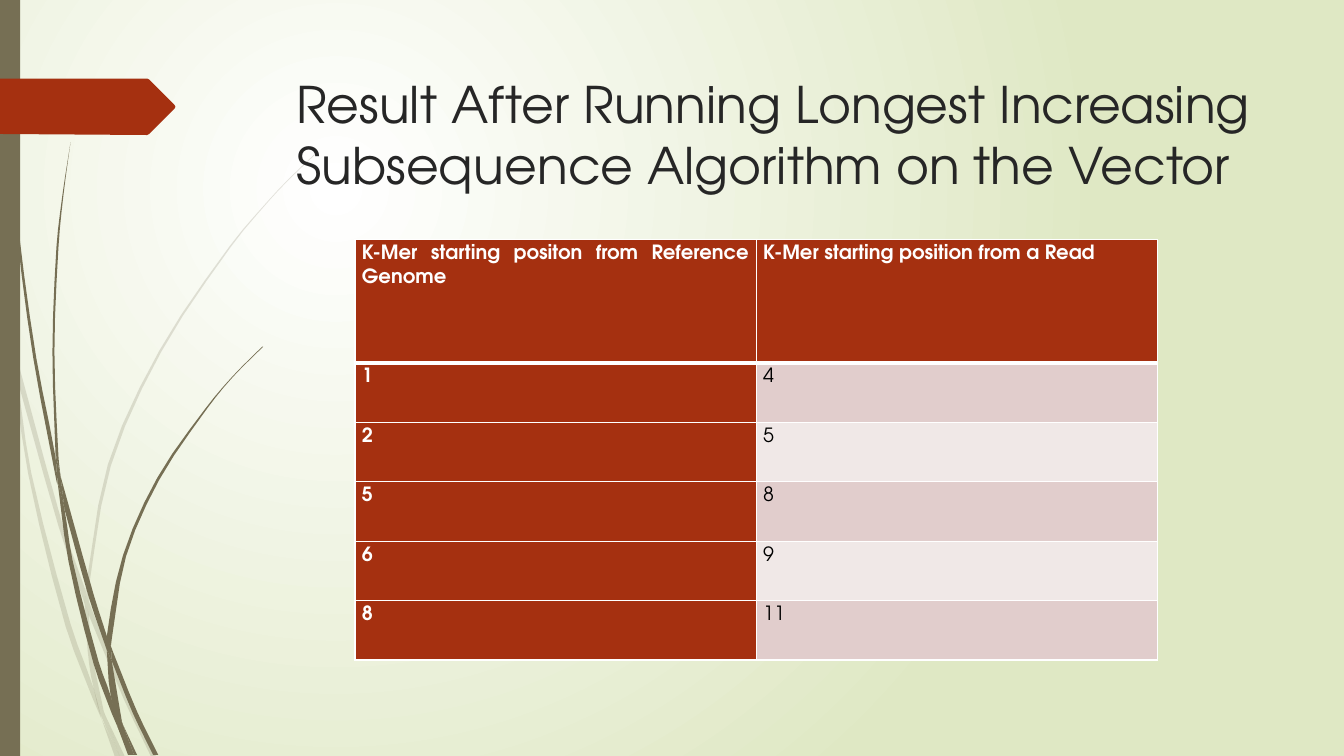
"""Builds a slide with a results table beside a decoration of grass blades."""
from math import dist
from lxml import etree
from pptx import Presentation
from pptx.dml.color import RGBColor
from pptx.enum import shapes, text
from pptx.oxml import parse_xml
from pptx.oxml.ns import nsdecls, qn
from pptx.util import Inches, Pt

FONT = "TeX Gyre Adventor"
COLORS = {
    "olive": "766F54", "rust": "A53010", "ink": "262626", "black": "000000",
    "white": "FFFFFF", "lime": "DFE8C4", "rose": "E1CDCC", "blush": "F0E8E7",
}
PALE_BLADES = [
    [[(0.11, 3.5), (0.09, 3.22), (0, 2.82)], [(0, 2.99), (0.1, 3.44)]],
    [[(0.14, 3.45), (0.62, 5.2), (0.85, 5.86)], [(0.84, 5.99), (0.58, 5.22), (0.17, 3.76)]],
    [[(0.88, 5.96), (0.92, 6.07), (1.27, 6.92), (1.55, 7.51)],
     [(1.5, 7.51), (1.23, 6.94), (0.88, 6.1)]],
    [[(1.19, 7.51), (1.24, 7.51)], [(1.05, 7.11)]],
    [[(0.11, 3.5), (0.17, 3.76), (0.31, 4.69), (0.7, 6.19), (0.93, 6.83), (1.01, 7.14)],
     [(0.92, 6.93), (0.65, 6.21), (0.28, 4.7), (0.11, 3.5)]],
    [[(0.84, 5.99), (0.87, 6.46), (0.93, 6.83), (1.05, 7.11)],
     [(1.03, 7.06), (0.91, 6.46), (0.88, 6.08)]],
    [[(0.88, 5.96), (0.88, 5.84), (1.1, 4.62), (1.6, 3.49), (2.29, 2.45), (2.68, 1.98),
      (2.9, 1.75), (3.12, 1.54)],
     [(3.12, 1.53), (2.89, 1.75), (2.68, 1.97), (2.28, 2.44), (1.58, 3.48), (1.07, 4.61),
      (0.85, 5.84)]],
    [[(1.01, 7.14), (1.14, 7.51)], [(1.19, 7.51)]],
    [[(0.88, 6.08), (0.88, 5.96)], [(0.85, 5.86), (0.84, 5.99)]],
    [[(0.93, 6.83), (0.99, 7.07), (1.19, 7.51)], [(1.05, 7.11), (0.96, 6.92)]],
]
DARK_BLADES = [
    [[(0.04, 0), (0.05, 0.48), (0.08, 1.09), (0.19, 2.32), (0.36, 3.55), (0.55, 4.53),
      (0.57, 4.81)],
     [(0.56, 4.77), (0.33, 3.55), (0.17, 2.33), (0.07, 1.1), (0.04, 0.48), (0.03, 0)]],
    [[(0.6, 4.72), (0.93, 5.9), (1.06, 6.31)], [(1.06, 6.45), (0.88, 5.92), (0.64, 5.05)]],
    [[(1.1, 6.41), (1.13, 6.49), (1.36, 7.06), (1.57, 7.49)],
     [(1.52, 7.49), (1.32, 7.08), (1.11, 6.56)]],
    [[(0.57, 4.77), (0.64, 5.05), (0.72, 5.56), (0.98, 6.57), (1.1, 6.91), (1.17, 7.22)],
     [(1.11, 7.08), (0.93, 6.59), (0.68, 5.57), (0.57, 4.77)]],
    [[(0.6, 4.72), (0.58, 4.53), (0.54, 3.49), (0.58, 2.45), (0.63, 1.93), (0.7, 1.41)],
     [(0.7, 1.41), (0.62, 1.93), (0.56, 2.45), (0.52, 3.49), (0.55, 4.49)]],
    [[(1.33, 7.49), (1.36, 7.49)], [(1.22, 7.19)]],
    [[(0.57, 4.77), (0.64, 5.05)], [(0.6, 4.72), (0.55, 4.49)]],
    [[(1.11, 6.33), (1.25, 5.52), (1.58, 4.76), (2.05, 4.06), (2.31, 3.74), (2.61, 3.44)],
     [(2.6, 3.44), (2.31, 3.73), (2.04, 4.05), (1.56, 4.74), (1.22, 5.51), (1.06, 6.31),
      (1.1, 6.41)]],
    [[(1.17, 7.22), (1.27, 7.49)], [(1.31, 7.49)]],
    [[(1.06, 6.45), (1.1, 6.91), (1.22, 7.19)], [(1.21, 7.16), (1.11, 6.56)]],
    [[(1.06, 6.31), (1.06, 6.45)], [(1.11, 6.56), (1.1, 6.41)]],
    [[(1.1, 6.91), (1.17, 7.22), (1.3, 7.49)], [(1.33, 7.49), (1.22, 7.19)]],
]
ARROW = [[(0, 0.78), (1.46, 0.78)], [(1.48, 0.79), (1.73, 1.04)], [(1.74, 1.06), (1.73, 1.08)],
         [(1.48, 1.33), (1.46, 1.34)], [(0, 1.33)]]
ROWS = [
    ("K-Mer starting positon from Reference Genome", "K-Mer starting position from a Read"),
    ("1", "4"), ("2", "5"), ("5", "8"), ("6", "9"), ("8", "11"),
]


def smooth(points):
    """Return points along a smooth curve through the given ones."""
    result = [points[0]]
    last = len(points) - 1
    steps = 3 if last > 1 else 1
    for i in range(last):
        start, end = points[i], points[i + 1]
        before, after = points[max(i - 1, 0)], points[min(i + 2, last)]
        reach = dist(start, end) / 3
        pull = reach / dist(before, end)
        push = reach / dist(start, after)
        for t in (step / steps for step in range(1, steps + 1)):
            result.append(tuple(
                (1 - t) ** 3 * a + 3 * t * (1 - t) ** 2 * (a + (b - p) * pull)
                + 3 * t * t * (1 - t) * (b - (n - a) * push) + t ** 3 * b
                for p, a, b, n in zip(before, start, end, after)))
    return result


def write(frame, content, size, color, bold=False, align=text.PP_ALIGN.LEFT, spacing=1.0):
    """Fill a text frame with one formatted paragraph."""
    para = frame.paragraphs[0]
    para.alignment, para.line_spacing = align, spacing
    span = para.add_run()
    span.text = content
    span.font.name, span.font.size, span.font.bold = FONT, Pt(size), bold
    span.font.color.rgb = RGBColor.from_string(COLORS[color])


deck = Presentation()
deck.slide_width, deck.slide_height = Inches(13.33), Inches(7.5)
page = deck.slides.add_slide(deck.slide_layouts[5])

gradient = page.background.fill
gradient.gradient()
for stop, color in zip(gradient.gradient_stops, ("white", "lime")):
    stop.color.rgb = RGBColor.from_string(COLORS[color])
gradient_xml = page.element.find(".//" + qn("a:gradFill"))
gradient_xml.remove(gradient_xml.find(qn("a:lin")))
gradient_xml.find(qn("a:gsLst")).addnext(parse_xml(
    f'<a:path {nsdecls("a")} path="circle">'
    '<a:fillToRect l="50000" t="50000" r="100000" b="100000"/></a:path>'))

bar = page.shapes.add_shape(shapes.MSO_SHAPE.RECTANGLE, 0, 0, Inches(0.2), Inches(7.5))
decorations = [(bar, "olive", 100)]
pale_tuft, dark_tuft = page.shapes.add_group_shape(), page.shapes.add_group_shape()
page.shapes.element.append(bar.element)
for parent, outlines, color, opacity in (
        (pale_tuft, PALE_BLADES, "olive", 20), (dark_tuft, DARK_BLADES, "olive", 100),
        (page, [ARROW], "rust", 100)):
    for sides in outlines:
        outline = [(Inches(x), Inches(y)) for side in sides for x, y in smooth(side)]
        builder = parent.shapes.build_freeform(*outline[0])
        builder.add_line_segments(outline[1:], close=True)
        decorations.append((builder.convert_to_shape(), color, opacity))

for shape, color, opacity in decorations:
    shape.shadow.inherit = False
    shape.line.fill.background()
    shape.fill.solid()
    shape.fill.fore_color.rgb = RGBColor.from_string(COLORS[color])
    if opacity < 100:
        tint = shape.element.spPr.find(".//" + qn("a:srgbClr"))
        etree.SubElement(tint, qn("a:alpha"), val=str(opacity * 1000))

title = page.shapes.title
page.shapes.element.append(title.element)
title.left, title.top = Inches(2.84), Inches(0.68)
title.width, title.height = Inches(9.75), Inches(1.4)
title.text_frame.word_wrap = True
title.text_frame.auto_size = text.MSO_AUTO_SIZE.NONE
title.text_frame.vertical_anchor = text.MSO_ANCHOR.TOP
write(title.text_frame,
      "Result After Running Longest Increasing Subsequence Algorithm on the Vector",
      36, "ink")

table = page.shapes.add_table(
    len(ROWS), 2, Inches(3.52), Inches(2.38), Inches(7.96), Inches(4.17)).table
for r, values in enumerate(ROWS):
    table.rows[r].height = Inches(0.59 if r else 1.22)
    for c, value in enumerate(values):
        cell = table.cell(r, c)
        heading = r == 0 or c == 0
        cell.margin_left = cell.margin_right = Inches(0.07)
        cell.margin_top = cell.margin_bottom = 0
        write(cell.text_frame, value, 14, "white" if heading else "black", bold=heading,
              align=text.PP_ALIGN.JUSTIFY, spacing=1.3)
        for side in ("lnL", "lnR", "lnT", "lnB"):
            thick = (r, side) in ((0, "lnB"), (1, "lnT"))
            edge = etree.SubElement(
                cell._tc.get_or_add_tcPr(), qn("a:" + side), w=str(Pt(3 if thick else 1)))
            ink = etree.SubElement(edge, qn("a:solidFill"))
            etree.SubElement(ink, qn("a:srgbClr"), val=COLORS["white"])
        cell.fill.solid()
        fill = "rust" if heading else "rose" if r % 2 else "blush"
        cell.fill.fore_color.rgb = RGBColor.from_string(COLORS[fill])

deck.save("out.pptx")
